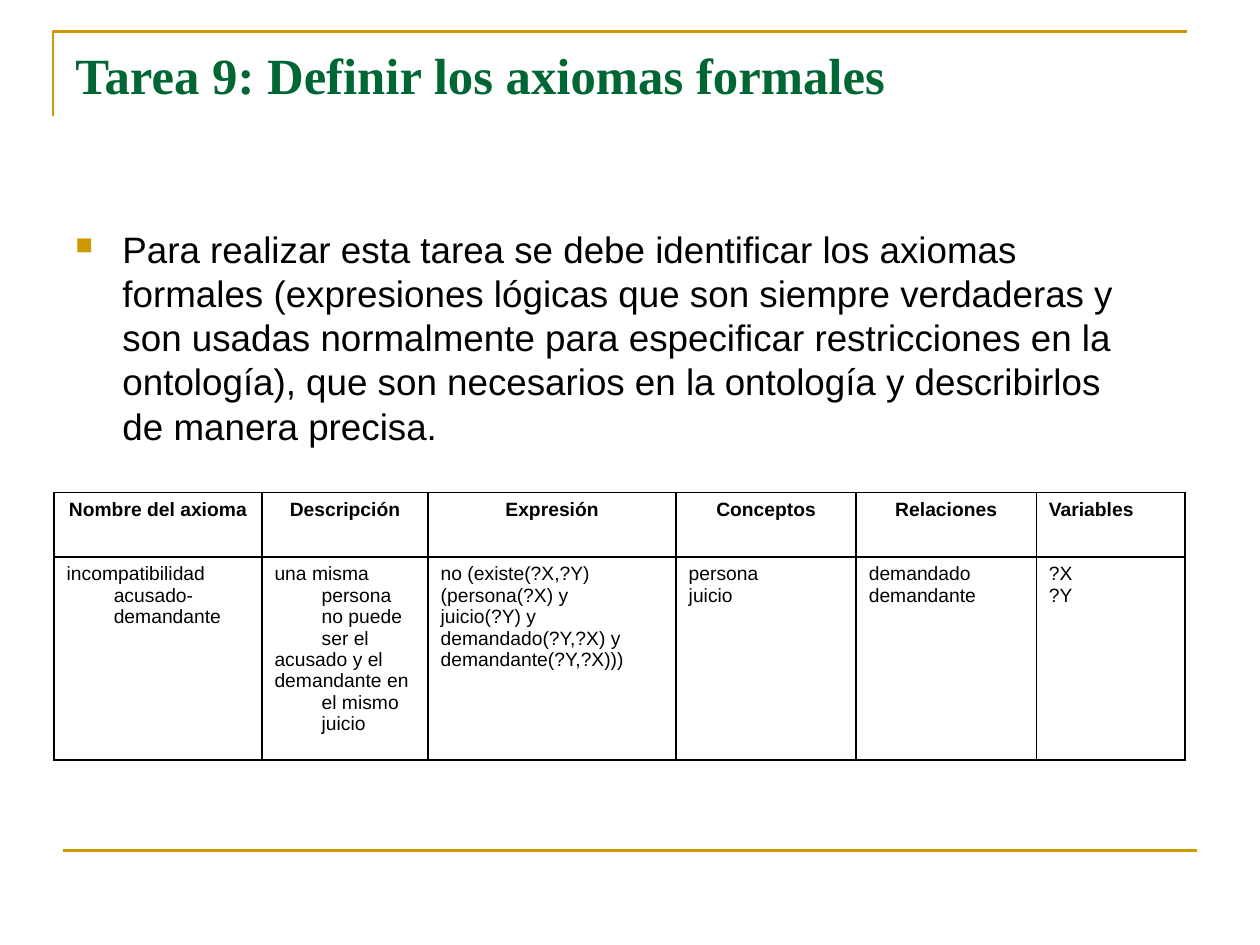
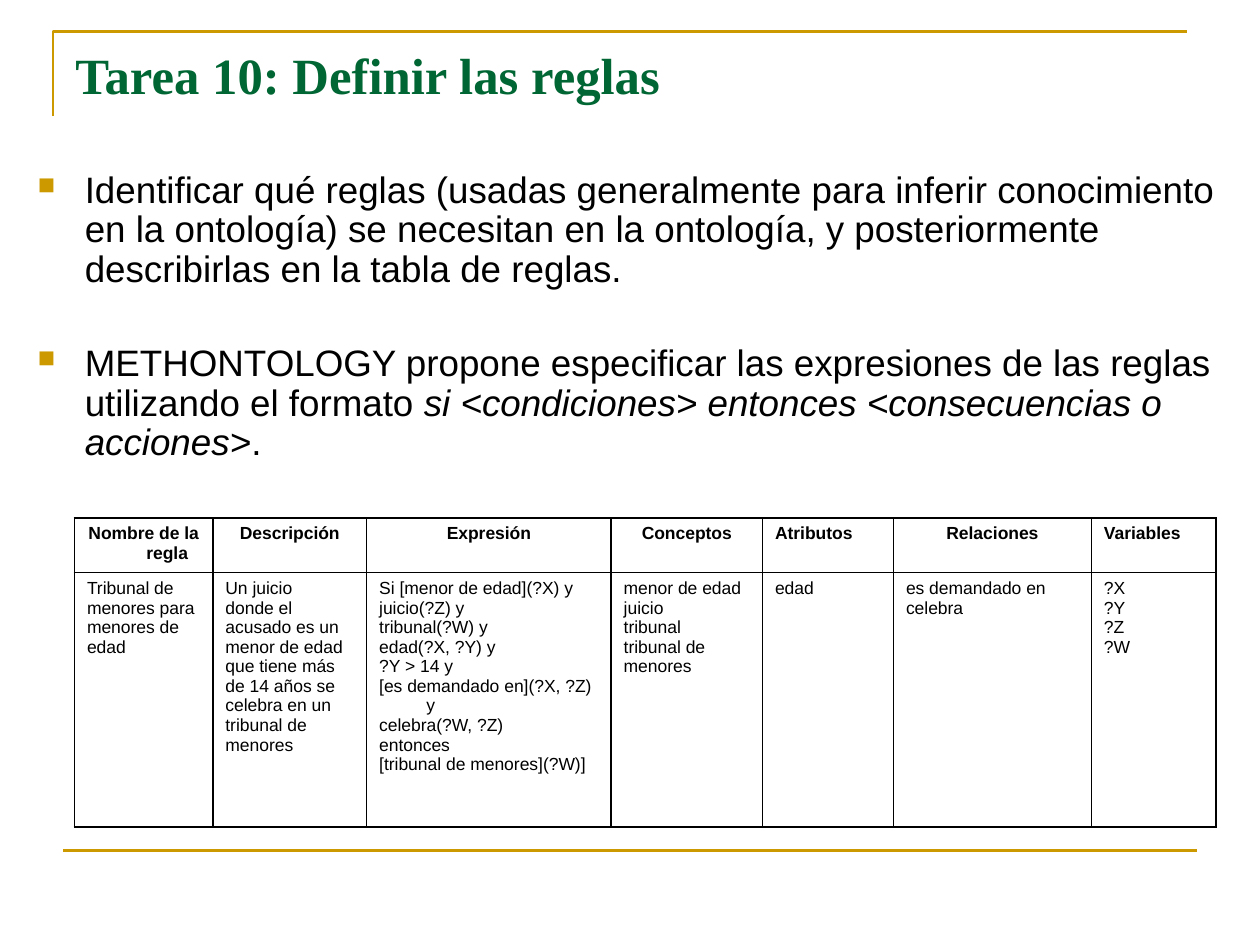
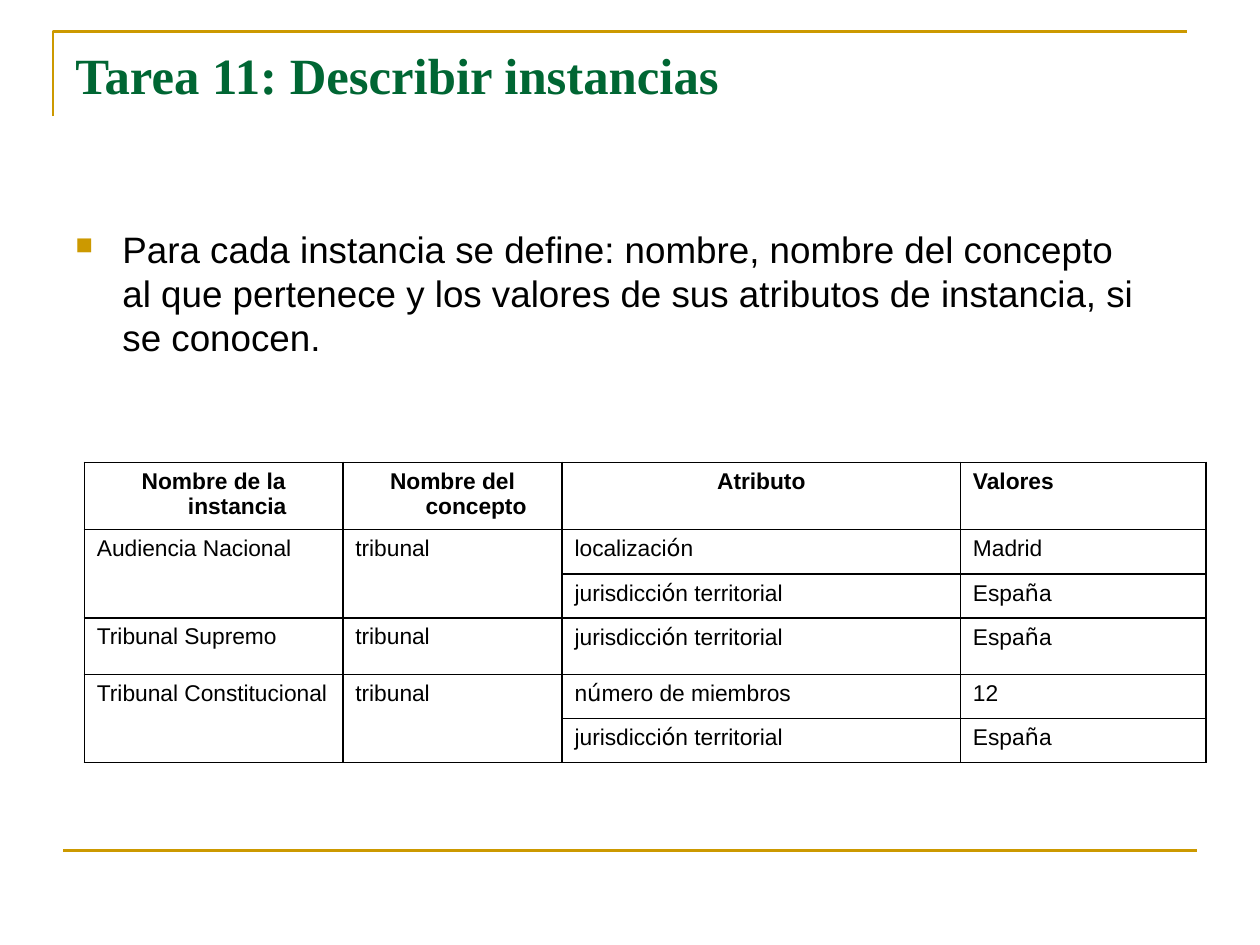
from itertools import groupby

from lxml import etree
from pptx import Presentation
from pptx.dml.color import RGBColor
from pptx.enum.shapes import MSO_CONNECTOR
from pptx.enum.text import MSO_ANCHOR, PP_ALIGN
from pptx.oxml.ns import qn
from pptx.util import Cm, Pt

STRAIGHT = MSO_CONNECTOR.STRAIGHT
TOP = MSO_ANCHOR.TOP
LEFT, CENTER = PP_ALIGN.LEFT, PP_ALIGN.CENTER

COLORS = {"gold": "CC9900", "green": "006633", "black": "000000"}
TITLE_FORMAT = {"name": "Times New Roman", "size": Pt(29), "bold": True}
BODY_FORMAT = {"name": "Arial", "size": Pt(21), "bold": False}
ACCENT_FONT = "DejaVu Sans"
LEFT_HEADERS = {"Variables", "Atributos", "Valores"}
HANGING = Cm(0.95)
BORDER_WIDTH = Pt(1)


def set_all(target, values):
    for name, value in values.items():
        setattr(target, name, value)


def add_xml(parent, tag, **attributes):
    return etree.SubElement(parent, qn(tag), attributes)


class Deck:
    def __init__(self):
        self.presentation = Presentation()
        set_all(self.presentation, {"slide_width": Cm(25.4), "slide_height": Cm(19.05)})
        self.slide = None

    def new_slide(self, title):
        self.slide = self.presentation.slides.add_slide(self.presentation.slide_layouts[6])
        self.corner()
        self.footer_line()
        frame = self.text_frame(1.27, 0.76, 22.86, 3.18)
        self.run(frame.paragraphs[0], title, TITLE_FORMAT, "green")

    def gold_line(self, line):
        line.color.rgb = RGBColor.from_string(COLORS["gold"])
        line.width = Pt(1.5)

    def corner(self):
        left, top, right, bottom = Cm(1.07), Cm(0.64), Cm(23.93), Cm(2.34)
        builder = self.slide.shapes.build_freeform(left, bottom)
        builder.add_line_segments([(left, top), (right, top)], close=False)
        outline = builder.convert_to_shape()
        outline.shadow.inherit = False
        outline.fill.background()
        self.gold_line(outline.line)

    def footer_line(self):
        rule = self.slide.shapes.add_connector(
            STRAIGHT, Cm(1.27), Cm(17.15), Cm(24.13), Cm(17.15))
        self.gold_line(rule.line)
        add_xml(rule._element.spPr, "a:effectLst")

    def text_frame(self, left, top, width, height):
        box = self.slide.shapes.add_textbox(Cm(left), Cm(top), Cm(width), Cm(height))
        set_all(box.text_frame, {"word_wrap": True, "vertical_anchor": TOP})
        return box.text_frame

    def run(self, paragraph, text, style, color="black"):
        run = paragraph.add_run()
        run.text = text
        set_all(run.font, style)
        run.font.color.rgb = RGBColor.from_string(COLORS[color])

    def hang(self, paragraph):
        properties = paragraph._p.get_or_add_pPr()
        properties.set("marL", str(HANGING))
        properties.set("indent", str(-HANGING))
        return properties

    def bullets(self, box, items, line_spacing=1.0, gap=4.2):
        frame = self.text_frame(*box)
        for index, pieces in enumerate(items):
            paragraph = frame.add_paragraph() if index else frame.paragraphs[0]
            set_all(paragraph, {"line_spacing": line_spacing,
                                "space_before": Pt(gap if index else 4.2)})
            properties = self.hang(paragraph)
            bullet_color = add_xml(properties, "a:buClr")
            add_xml(bullet_color, "a:srgbClr", val=COLORS["gold"])
            add_xml(properties, "a:buSzPct", val="65000")
            add_xml(properties, "a:buChar", char="■")
            for text, italic in pieces:
                self.run(paragraph, text, {**BODY_FORMAT, "italic": italic})

    def borders(self, cell):
        properties = cell._tc.get_or_add_tcPr()
        for position, side in enumerate(("a:lnL", "a:lnR", "a:lnT", "a:lnB")):
            line = etree.Element(qn(side), w=str(BORDER_WIDTH))
            fill = add_xml(line, "a:solidFill")
            add_xml(fill, "a:srgbClr", val=COLORS["black"])
            properties.insert(position, line)

    def cell_text(self, cell, text, size, header, accent_font):
        alignment = CENTER if header and text not in LEFT_HEADERS else LEFT
        for index, line in enumerate(text.split("\n")):
            paragraph = cell.text_frame.add_paragraph() if index else cell.text_frame.paragraphs[0]
            paragraph.alignment = alignment
            self.hang(paragraph)
            for accented, letters in groupby(line, lambda letter: letter in "óñú"):
                name = accent_font if accented else BODY_FORMAT["name"]
                self.run(paragraph, "".join(letters),
                         {"name": name, "size": Pt(size), "bold": header})

    def table(self, left, top, widths, heights, rows, size, merged_rows=(), accent_font="Arial"):
        table = self.slide.shapes.add_table(
            len(rows), len(widths), Cm(left), Cm(top),
            Cm(sum(widths)), Cm(sum(heights))).table
        set_all(table, {"first_row": False, "horz_banding": False})
        for column, width in zip(table.columns, widths):
            column.width = Cm(width)
        for row, height in zip(table.rows, heights):
            row.height = Cm(height)
        for r, row in enumerate(rows):
            for c, text in enumerate(row):
                cell = table.cell(r, c)
                cell.fill.background()
                self.borders(cell)
                if text:
                    self.cell_text(cell, text, size, r == 0, accent_font)
        for r in merged_rows:
            for c in (0, 1):
                table.cell(r, c).merge(table.cell(r + 1, c))


deck = Deck()

deck.new_slide("Tarea 9: Definir los axiomas formales")
deck.bullets((1.27, 4.45, 21.64, 3.89), [[(
    "Para realizar esta tarea se debe identificar los axiomas formales (expresiones lógicas "
    "que son siempre verdaderas y son usadas normalmente para especificar restricciones en "
    "la ontología), que son necesarios en la ontología y describirlos de manera precisa.",
    False)]])
axioms = [
    ["Nombre del axioma", "Descripción", "Expresión", "Conceptos", "Relaciones", "Variables"],
    ["incompatibilidad acusado-demandante",
     "una misma persona no puede ser el\nacusado y el\ndemandante en el mismo juicio",
     "no (existe(?X,?Y)\n(persona(?X) y\njuicio(?Y) y\ndemandado(?Y,?X) y\ndemandante(?Y,?X)))",
     "persona\njuicio", "demandado\ndemandante", "?X\n?Y"],
]
deck.table(1.09, 9.93, [4.19, 3.35, 5, 3.63, 3.63, 3], [1.3, 4.09], axioms, 11)

deck.new_slide("Tarea 10: Definir las reglas")
deck.bullets((0.51, 3.33, 24.41, 5.28), [
    [("Identificar qué reglas (usadas generalmente para inferir conocimiento en la ontología) "
      "se necesitan en la ontología, y posteriormente describirlas en la tabla de reglas.", False)],
    [("METHONTOLOGY propone especificar las expresiones de las reglas utilizando el formato ", False),
     ("si <condiciones> entonces <consecuencias o acciones>", True),
     (".", False)],
], line_spacing=0.9, gap=31)
rules = [
    ["Nombre de la regla", "Descripción", "Expresión", "Conceptos", "Atributos", "Relaciones",
     "Variables"],
    ["Tribunal de\nmenores para\nmenores de\nedad",
     "Un juicio\ndonde el\nacusado es un\nmenor de edad\nque tiene más\nde 14 años se\n"
     "celebra en un\ntribunal de\nmenores",
     "Si [menor de edad](?X) y\njuicio(?Z) y\ntribunal(?W) y\nedad(?X, ?Y) y\n?Y > 14 y\n"
     "[es demandado en](?X, ?Z) y\ncelebra(?W, ?Z)\nentonces\n[tribunal de menores](?W)]",
     "menor de edad\njuicio\ntribunal\ntribunal de\nmenores",
     "edad", "es demandado en\ncelebra", "?X\n?Y\n?Z\n?W"],
]
deck.table(1.5, 10.44, [2.79, 3.1, 4.93, 3.05, 2.64, 3.99, 2.51], [1.07, 5.13], rules, 10)

deck.new_slide("Tarea 11: Describir instancias")
deck.bullets((1.27, 4.45, 21.84, 3.68), [[(
    "Para cada instancia se define: nombre, nombre del concepto al que pertenece y los "
    "valores de sus atributos de instancia, si se conocen.", False)]])
jurisdiction = ["jurisdicción territorial", "España"]
instances = [
    ["Nombre de la instancia", "Nombre del concepto", "Atributo", "Valores"],
    ["Audiencia Nacional", "tribunal", "localización", "Madrid"],
    ["", "", *jurisdiction],
    ["Tribunal Supremo", "tribunal", *jurisdiction],
    ["Tribunal Constitucional", "tribunal", "número de miembros", "12"],
    ["", "", *jurisdiction],
]
deck.table(1.7, 9.32, [5.21, 4.42, 8.03, 4.95], [1.27, 0.89, 0.89, 1.14, 0.89, 0.89],
           instances, 13, merged_rows=(1, 4), accent_font=ACCENT_FONT)

deck.presentation.save("out.pptx")
